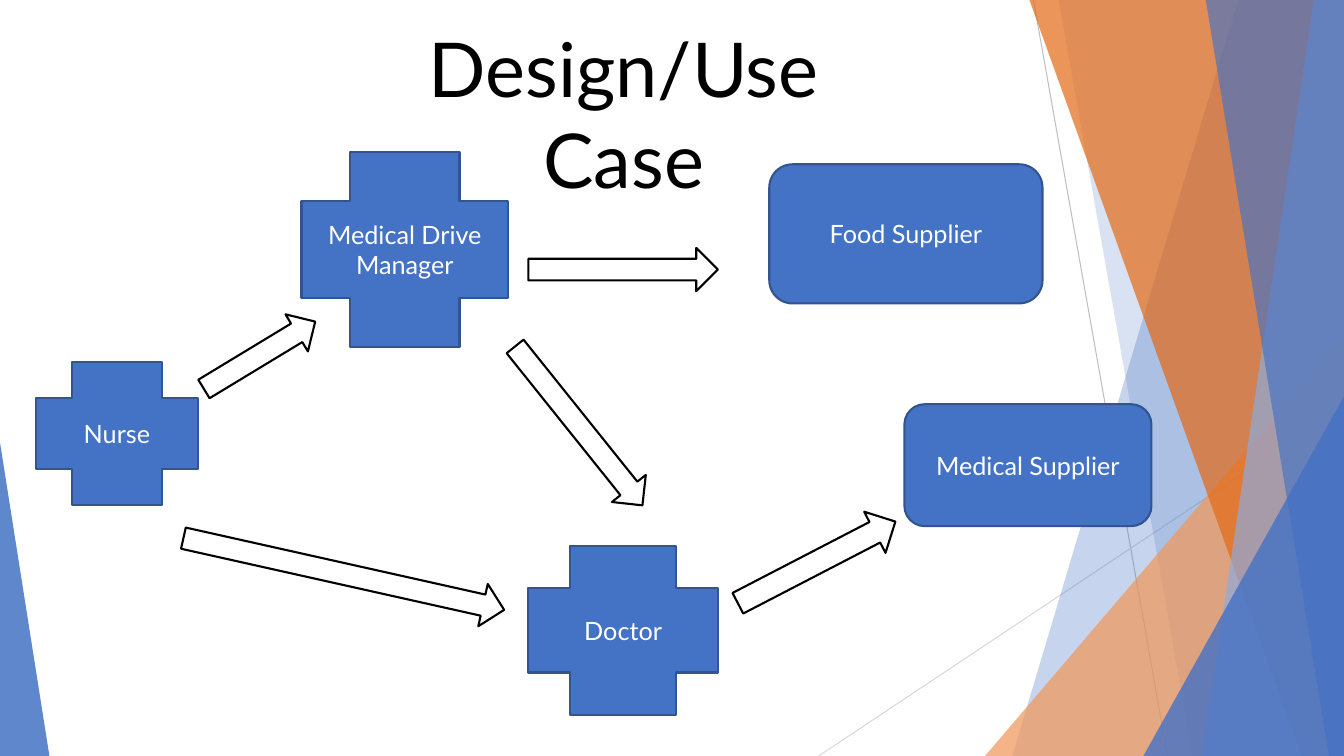
from dataclasses import dataclass

from lxml import etree
from pptx import Presentation
from pptx.dml.color import RGBColor
from pptx.enum.shapes import MSO_CONNECTOR, MSO_SHAPE
from pptx.enum.text import MSO_ANCHOR, MSO_AUTO_SIZE, PP_ALIGN
from pptx.oxml.ns import qn
from pptx.util import Inches, Pt

CROSS = MSO_SHAPE.CROSS
ROUNDED = MSO_SHAPE.ROUNDED_RECTANGLE
ARROW = MSO_SHAPE.RIGHT_ARROW
TRIANGLE = MSO_SHAPE.ISOSCELES_TRIANGLE
STRAIGHT = MSO_CONNECTOR.STRAIGHT
MIDDLE = MSO_ANCHOR.MIDDLE
TOP = MSO_ANCHOR.TOP
CENTER = PP_ALIGN.CENTER
GROW = MSO_AUTO_SIZE.SHAPE_TO_FIT_TEXT

SLIDE_WIDTH, SLIDE_HEIGHT = 13.33, 7.5


@dataclass(frozen=True)
class Theme:
    font: str = "Lato"
    title_size: float = 54
    label_size: float = 18
    outline_width: float = 1.5
    hairline_width: float = 0.75
    blue: str = "4472C4"
    blue_outline: str = "325491"
    pale_blue: str = "8FAADC"
    orange: str = "E36915"
    pale_orange: str = "F0985B"
    black: str = "000000"
    white: str = "FFFFFF"
    gray: str = "BFBFBF"
    pale_gray: str = "D9D9D9"


THEME = Theme()

HAIRLINES = [
    ((10.25, 0), (11.58, SLIDE_HEIGHT), THEME.gray),
    ((SLIDE_WIDTH, 4.03), (8.12, SLIDE_HEIGHT), THEME.pale_gray),
]
BACK_BANDS = [
    (12.28, 10.04, THEME.blue, 30),
    (10.5, 11.83, THEME.blue, 20),
]
FRONT_BANDS = [
    (10.21, 12.91, THEME.orange, 70),
    (13.03, 11.92, THEME.pale_blue, 70),
    (11.96, 13.18, THEME.blue, 65),
]
BACK_CORNER = ((9.77, 3.33, 3.56, 4.17), 1, THEME.pale_orange, 72)
FRONT_CORNERS = [
    ((11.34, 3.93, 1.99, 3.57), 1, THEME.blue, 80),
    ((0, 4.39, 0.49, 3.11), 0, THEME.blue, 85),
]
ACTORS = [
    ("Doctor", CROSS, (5.24, 5.42, 1.88, 1.67)),
    ("Medical Drive Manager", CROSS, (2.99, 1.51, 2.05, 1.93)),
    ("Nurse", CROSS, (0.36, 3.59, 1.6, 1.42)),
    ("Food Supplier", ROUNDED, (7.63, 1.63, 2.71, 1.38)),
    ("Medical Supplier", ROUNDED, (8.97, 4.01, 2.45, 1.21)),
]
FLOWS = [
    ((1.93, 3.31, 1.29, 0.43), 328.8),
    ((1.78, 5.48, 3.26, 0.43), 12.6),
    ((7.22, 5.35, 1.76, 0.46), 332.6),
    ((5.24, 2.46, 1.88, 0.43), 0),
    ((4.73, 4.01, 2.02, 0.43), 51.3),
]


def inches(values):
    return [Inches(value) for value in values]


def apply_format(target, values):
    for attribute, value in values.items():
        setattr(target, attribute, value)


def paint(shape, color, opacity=100, outline=None):
    shape.shadow.inherit = False
    shape.fill.solid()
    shape.fill.fore_color.rgb = RGBColor.from_string(color)
    if opacity < 100:
        swatch = shape.fill._xPr.find(".//" + qn("a:srgbClr"))
        etree.SubElement(swatch, qn("a:alpha")).set("val", str(opacity * 1000))
    if outline:
        shape.line.color.rgb = RGBColor.from_string(outline)
        shape.line.width = Pt(THEME.outline_width)
    else:
        shape.line.fill.background()


def write(shape, wording, size, color, frame_format):
    frame = shape.text_frame
    apply_format(frame, frame_format)
    paragraph = frame.paragraphs[0]
    paragraph.alignment = CENTER
    run = paragraph.add_run()
    run.text = wording
    apply_format(run.font, {"name": THEME.font, "size": Pt(size)})
    run.font.color.rgb = RGBColor.from_string(color)


def add_hairline(slide, start, end, color):
    hairline = slide.shapes.add_connector(STRAIGHT, *inches(start + end))
    hairline.line.color.rgb = RGBColor.from_string(color)
    hairline.line.width = Pt(THEME.hairline_width)
    etree.SubElement(hairline._element.spPr, qn("a:effectLst"))


def add_band(slide, top_x, bottom_x, color, opacity):
    outline = slide.shapes.build_freeform(Inches(top_x), 0)
    corners = [
        (SLIDE_WIDTH, 0),
        (SLIDE_WIDTH, SLIDE_HEIGHT),
        (bottom_x, SLIDE_HEIGHT),
    ]
    outline.add_line_segments([inches(corner) for corner in corners], close=True)
    paint(outline.convert_to_shape(), color, opacity)


def add_corner(slide, box, apex, color, opacity):
    corner = slide.shapes.add_shape(TRIANGLE, *inches(box))
    corner.adjustments[0] = apex
    paint(corner, color, opacity)


def add_title(slide, wording, box):
    title = slide.shapes.add_textbox(*inches(box))
    frame_format = {"word_wrap": True, "auto_size": GROW, "vertical_anchor": TOP}
    write(title, wording, THEME.title_size, THEME.black, frame_format)


def add_actor(slide, wording, outline, box):
    actor = slide.shapes.add_shape(outline, *inches(box))
    paint(actor, THEME.blue, outline=THEME.blue_outline)
    frame_format = {"word_wrap": True, "vertical_anchor": MIDDLE}
    write(actor, wording, THEME.label_size, THEME.white, frame_format)


def add_flow(slide, box, rotation):
    flow = slide.shapes.add_shape(ARROW, *inches(box))
    flow.rotation = rotation
    paint(flow, THEME.white, outline=THEME.black)


def add_backdrop(slide):
    for hairline in HAIRLINES:
        add_hairline(slide, *hairline)
    for band in BACK_BANDS:
        add_band(slide, *band)
    add_corner(slide, *BACK_CORNER)
    for band in FRONT_BANDS:
        add_band(slide, *band)
    for corner in FRONT_CORNERS:
        add_corner(slide, *corner)


def main():
    deck = Presentation()
    deck.slide_width, deck.slide_height = inches((SLIDE_WIDTH, SLIDE_HEIGHT))
    slide = deck.slides.add_slide(deck.slide_layouts[6])
    add_backdrop(slide)
    add_title(slide, "Design/Use Case", (3.52, 0.17, 5.33, 1.01))
    for actor in ACTORS:
        add_actor(slide, *actor)
    for flow in FLOWS:
        add_flow(slide, *flow)
    deck.save("out.pptx")


if __name__ == "__main__":
    main()
